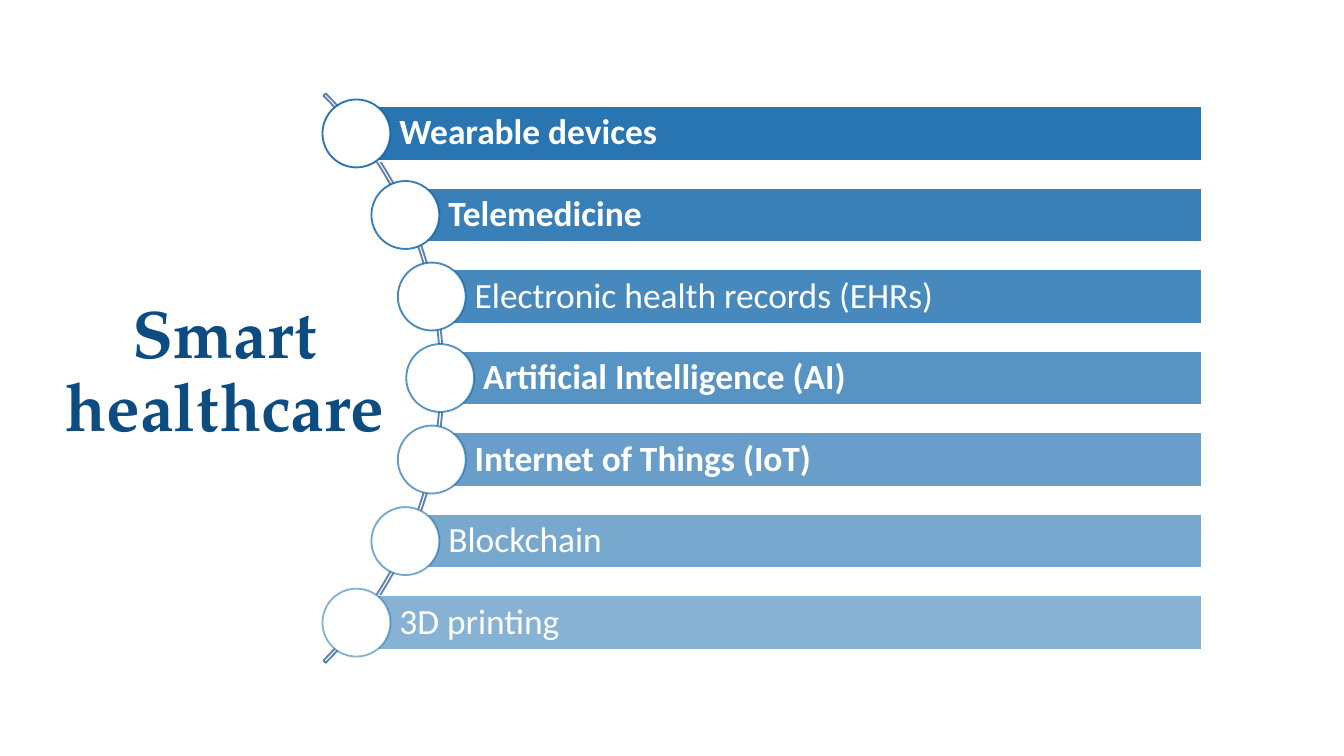
from math import sqrt

from lxml import etree
from pptx import Presentation
from pptx.dml.color import RGBColor
from pptx.enum.shapes import MSO_SHAPE
from pptx.enum.text import MSO_ANCHOR, PP_ALIGN
from pptx.oxml.ns import qn
from pptx.util import Pt

ARC, BAR, DOT = MSO_SHAPE.BLOCK_ARC, MSO_SHAPE.RECTANGLE, MSO_SHAPE.OVAL
MIDDLE, BOTTOM = MSO_ANCHOR.MIDDLE, MSO_ANCHOR.BOTTOM
LEFT, CENTER = PP_ALIGN.LEFT, PP_ALIGN.CENTER
BLUE, WHITE, NAVY, STEEL = "1166AA", "FFFFFF", "0D4C80", "5E81B5"
ITEMS = [
    ("Wearable devices", True),
    ("Telemedicine", True),
    ("Electronic health records (EHRs)", False),
    ("Artificial Intelligence (AI)", True),
    ("Internet of Things (IoT)", True),
    ("Blockchain", False),
    ("3D printing", False),
]


def color(code):
    """Turn a hex string into a colour."""
    return RGBColor.from_string(code)


def add_part(slide, kind, box, fill, line):
    """Add a flat shape with a one-point outline."""
    part = slide.shapes.add_shape(kind, *map(Pt, box))
    part.shadow.inherit = False
    if fill:
        part.fill.solid()
        part.fill.fore_color.rgb = color(fill)
    else:
        part.fill.background()
    part.line.color.rgb = color(line)
    part.line.width = Pt(1)
    return part


def fade(part, alpha):
    """Make the blue of a shape see-through, alpha in percent."""
    for node in part._element.spPr.iter(qn("a:srgbClr")):
        if node.get("val") == BLUE:
            etree.SubElement(node, qn("a:alpha")).set("val", str(round(alpha * 1000)))


def set_text(part, text, face, size, code, bold, align, anchor, insets):
    """Write one formatted paragraph into a shape."""
    frame = part.text_frame
    frame.word_wrap = True
    frame.vertical_anchor = anchor
    (frame.margin_left, frame.margin_top,
     frame.margin_right, frame.margin_bottom) = map(Pt, insets)
    para = frame.paragraphs[0]
    para.text = text
    para.alignment = align
    para.line_spacing = 0.9
    para.space_before = Pt(0)
    font = para.font
    font.name, font.size, font.bold = face, Pt(size), bold
    font.color.rgb = color(code)


def add_title(slide, box):
    """Place and format the title."""
    title = slide.shapes.title
    title.left, title.top, title.width, title.height = map(Pt, box)
    set_text(title, "Smart healthcare", "TeX Gyre Pagella", 36, NAVY, True,
             CENTER, BOTTOM, (0, 0, 0, 0))


def add_row(slide, box, text, bold, alpha):
    """Draw one bar with a circle centred on its left end."""
    left, top, width, height = box
    size = 36.4
    bar = add_part(slide, BAR, box, BLUE, WHITE)
    fade(bar, alpha)
    set_text(bar, text, "Calibri", 19, WHITE, bold, LEFT, MIDDLE,
             (23, 3.6, 3.6, 3.6))
    spot = (left - size / 2, top + (height - size) / 2, size, size)
    fade(add_part(slide, DOT, spot, WHITE, BLUE), alpha)


def add_list(slide, box):
    """Draw the arc in its square box and the bars that follow it."""
    left, top, width, height = box
    arc = add_part(slide, ARC, box, None, STEEL)
    for index, value in enumerate((189, 27, 0.004)):
        arc.adjustments[index] = value
    mid_x, mid_y = left + width / 2, top + height / 2
    radius, pitch, bar, right = 213.8, 43.68, 29.1, 644
    last = len(ITEMS) - 1
    for index, (text, bold) in enumerate(ITEMS):
        drop = (index - last / 2) * pitch
        start = mid_x + sqrt(radius ** 2 - drop ** 2)
        place = (start, mid_y + drop - bar / 2, right - start, bar)
        add_row(slide, place, text, bold, 90 - 40 * index / last)


def main():
    """Build the slide and save it."""
    deck = Presentation()
    deck.slide_width, deck.slide_height = Pt(720), Pt(405)
    slide = deck.slides.add_slide(deck.slide_layouts[5])
    add_title(slide, (31.7, 202.3, 177.8, 36.7))
    add_list(slide, (-193.6, -13.1, 431.3, 431.3))
    deck.save("out.pptx")


if __name__ == "__main__":
    main()
